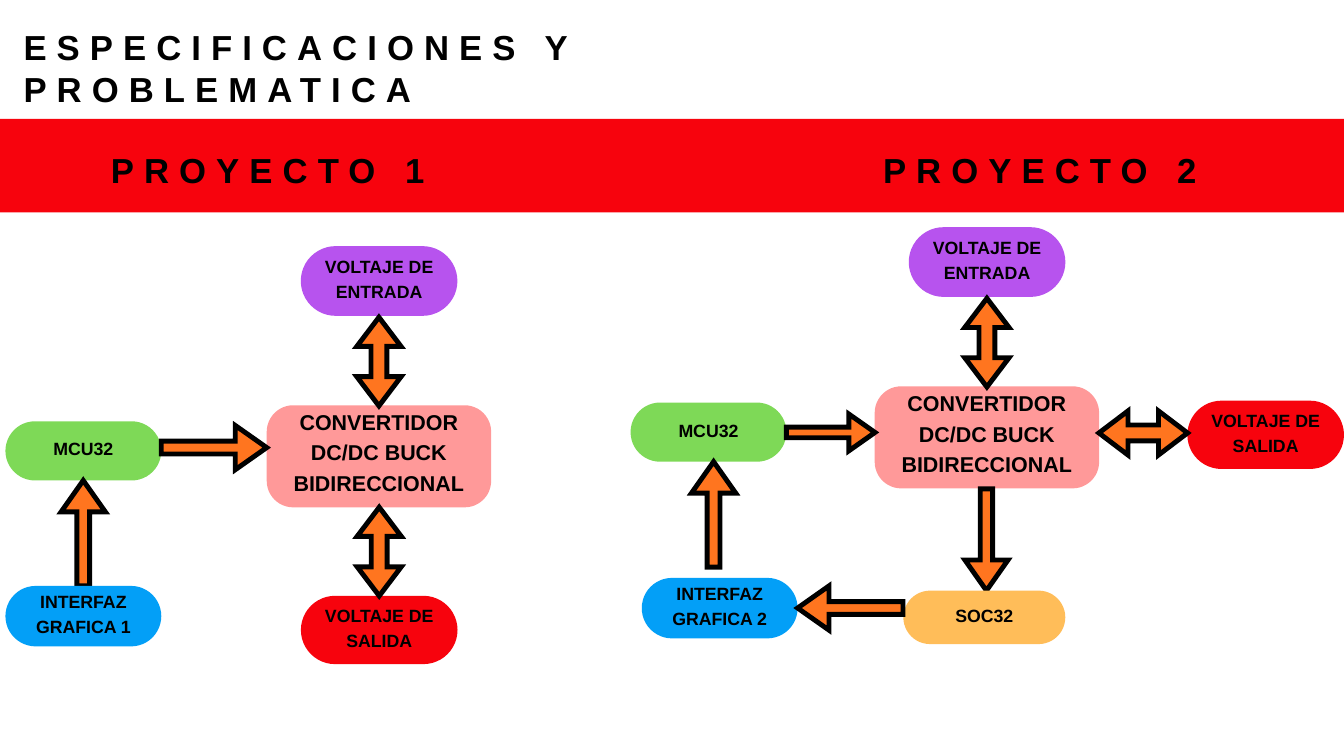
from lxml import etree
from pptx import Presentation
from pptx.dml.color import RGBColor
from pptx.enum.shapes import MSO_SHAPE
from pptx.enum.text import MSO_ANCHOR, PP_ALIGN
from pptx.oxml.ns import qn
from pptx.util import Pt

BLACK = RGBColor(0x00, 0x00, 0x00)
RED = RGBColor(0xF7, 0x03, 0x0D)
GREEN = RGBColor(0x7E, 0xD9, 0x57)
PURPLE = RGBColor(0xB7, 0x53, 0xEE)
PINK = RGBColor(0xFF, 0x99, 0x99)
BLUE = RGBColor(0x03, 0x9F, 0xF7)
AMBER = RGBColor(0xFF, 0xBD, 0x59)
ORANGE = RGBColor(0xFF, 0x75, 0x1F)

RECT = MSO_SHAPE.RECTANGLE
ROUNDED = MSO_SHAPE.ROUNDED_RECTANGLE
RIGHT = MSO_SHAPE.RIGHT_ARROW
LEFT = MSO_SHAPE.LEFT_ARROW
UP = MSO_SHAPE.UP_ARROW
DOWN = MSO_SHAPE.DOWN_ARROW
LEFT_RIGHT = MSO_SHAPE.LEFT_RIGHT_ARROW
TOP, MIDDLE = MSO_ANCHOR.TOP, MSO_ANCHOR.MIDDLE
ALIGN_LEFT, ALIGN_CENTER = PP_ALIGN.LEFT, PP_ALIGN.CENTER


class Diagram:
    font = "Arial"
    inset = 4.3
    border = 5.25
    single_arrow = (0.29, 0.71)  # shaft width, head length
    double_arrow = (0.36, 0.66)

    def __init__(self, slide):
        self.slide = slide

    def shape(self, kind, x, y, w, h, color):
        sp = self.slide.shapes.add_shape(kind, Pt(x), Pt(y), Pt(w), Pt(h))
        sp.shadow.inherit = False
        sp.fill.solid()
        sp.fill.fore_color.rgb = color
        sp.line.fill.background()
        return sp

    def text(self, words, x, y, w, h, size, leading, align=ALIGN_LEFT,
             anchor=TOP, inset=0, tracking=0):
        sp = self.slide.shapes.add_textbox(Pt(x), Pt(y), Pt(w), Pt(h))
        tf = sp.text_frame
        tf.word_wrap = True
        tf.vertical_anchor = anchor
        tf.margin_left = tf.margin_right = Pt(inset)
        tf.margin_top = tf.margin_bottom = Pt(inset)
        p = tf.paragraphs[0]
        p.alignment = align
        p.line_spacing = Pt(leading)
        r = p.add_run()
        r.text = words
        r.font.name = self.font
        r.font.size = Pt(size)
        r.font.bold = True
        r.font.color.rgb = BLACK
        if tracking:
            r._r.get_or_add_rPr().set("spc", str(round(tracking * 100)))

    def heading(self, words, x, y, w, h):
        self.text(words, x, y, w, h, 37.2, 45.1, tracking=10.8)

    def node(self, words, x, y, w, h, color, radius=0.5, size=19,
             leading=26.6, lift=8.4):
        sp = self.shape(ROUNDED, x, y, w, h, color)
        sp.adjustments[0] = radius
        self.text(words, x, y - lift, w, h + lift, size, leading,
                  ALIGN_CENTER, MIDDLE, self.inset)

    def arrow(self, kind, x, y, w, h):
        sp = self.shape(kind, x, y, w, h, ORANGE)
        double = kind == LEFT_RIGHT
        shaft, head = self.double_arrow if double else self.single_arrow
        sp.adjustments[0] = shaft
        sp.adjustments[1] = head
        sp.line.color.rgb = BLACK
        sp.line.width = Pt(self.border)
        ln = sp.line._get_or_add_ln()
        etree.SubElement(ln, qn("a:miter")).set("lim", "800000")
        return sp

    def vertical_double_arrow(self, x, y, w, h):
        """Double arrow turned upright about its centre."""
        shift = (h - w) / 2
        sp = self.arrow(LEFT_RIGHT, x - shift, y + shift, h, w)
        sp.rotation = 90

    def converter(self, x, y):
        """Converter with its input voltage above it."""
        self.node("VOLTAJE DE ENTRADA", x + 36.5, y - 170.5, 167.8, 74.7, PURPLE)
        self.node("CONVERTIDOR DC/DC BUCK BIDIRECCIONAL", x, y, 240.5, 109.4,
                  PINK, 0.26, 23, 32.2, 13)
        self.vertical_double_arrow(x + 96.5, y - 94.3, 47.4, 95)

    def controller(self, x, y):
        self.node("MCU32", x, y, 167, 63.4, GREEN)

    def interface(self, number, x, y):
        self.node(f"INTERFAZ GRAFICA {number}", x, y, 167, 64.8, BLUE)

    def output(self, x, y):
        self.node("VOLTAJE DE SALIDA", x, y, 167.8, 73.2, RED)


def main():
    prs = Presentation()
    prs.slide_width, prs.slide_height = Pt(1440), Pt(810)
    d = Diagram(prs.slides.add_slide(prs.slide_layouts[6]))

    # Title and band with the project names
    d.shape(RECT, 0, 127.4, 1440, 100.1, RED)
    d.heading("ESPECIFICACIONES Y PROBLEMATICA", 25.2, 27.4, 615.6, 90.7)
    d.heading("PROYECTO 1", 118.8, 159.1, 373, 45.4)
    d.heading("PROYECTO 2", 946.1, 159.1, 373, 45.4)

    # Project 1
    d.converter(285.8, 434.2)
    d.output(322.4, 638.4)
    d.vertical_double_arrow(382.7, 543.5, 47.2, 95)
    d.controller(5.8, 451.4)
    d.arrow(RIGHT, 172.8, 455.9, 113, 47.4)
    d.arrow(UP, 65.5, 514.8, 47.4, 113)
    d.interface(1, 5.8, 627.8)

    # Project 2
    d.converter(937.2, 413.9)
    d.output(1272.2, 429.3)
    d.arrow(LEFT_RIGHT, 1177.4, 440.3, 95, 47.2)
    d.controller(675.6, 431.3)
    d.arrow(RIGHT, 842.5, 443.6, 95, 39.5)
    d.arrow(UP, 740.9, 494.7, 47.4, 113)
    d.interface(2, 687.6, 619.2)
    d.arrow(DOWN, 1033.9, 523.9, 46.1, 108.9)
    d.node("SOC32", 967.9, 632.8, 173.5, 57.3, AMBER)
    d.arrow(LEFT, 854.6, 627.8, 113, 47.4)

    prs.save("out.pptx")


if __name__ == "__main__":
    main()
